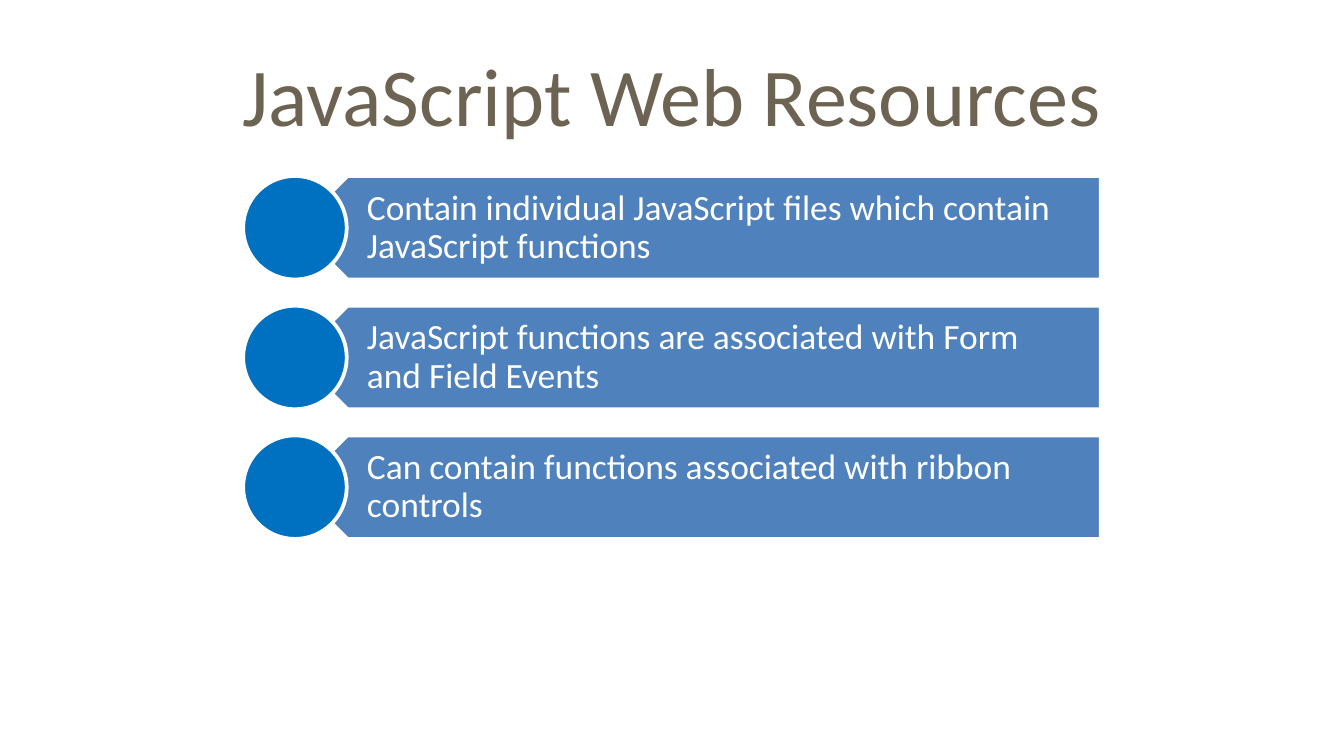
from dataclasses import dataclass
from pptx import Presentation
from pptx.dml.color import RGBColor
from pptx.enum.shapes import MSO_SHAPE
from pptx.enum.text import MSO_ANCHOR, PP_ALIGN
from pptx.util import Inches, Pt

TITLE = "JavaScript Web Resources"
POINTS = [
    "Contain individual JavaScript files which contain JavaScript functions",
    "JavaScript functions are associated with Form and Field Events",
    "Can contain functions associated with ribbon controls",
]


@dataclass(frozen=True)
class Theme:
    font: str = "Calibri"
    title: str = "6C6352"
    bar: str = "4F81BD"
    dot: str = "0070C0"
    white: str = "FFFFFF"
    head: int = 44
    body: int = 19
    edge: int = 2


THEME = Theme()
WIDE = Inches(10)
HIGH = WIDE * 9 // 16
FIRST, LAST = 1.31, 3.24
SIZE = 0.77
STEP = (LAST - FIRST) / (len(POINTS) - 1)


def style(para, size, color):
    for run in para.runs:
        run.font.name = THEME.font
        run.font.size = Pt(size)
        run.font.color.rgb = RGBColor.from_string(color)


def add_form(slide, kind, left, top, width, color):
    form = slide.shapes.add_shape(
        kind, Inches(left), Inches(top), Inches(width), Inches(SIZE))
    form.shadow.inherit = False
    form.fill.solid()
    form.fill.fore_color.rgb = RGBColor.from_string(color)
    form.line.color.rgb = RGBColor.from_string(THEME.white)
    form.line.width = Pt(THEME.edge)
    return form


def add_label(slide, text, top):
    box = slide.shapes.add_textbox(
        Inches(2.39), Inches(top), Inches(5.79), Inches(SIZE))
    frame = box.text_frame
    frame.word_wrap = True
    frame.vertical_anchor = MSO_ANCHOR.MIDDLE
    frame.margin_left, frame.margin_right = Inches(0.34), Inches(0.15)
    frame.margin_top = frame.margin_bottom = Inches(0.08)
    frame.text = text
    para = frame.paragraphs[0]
    para.alignment = PP_ALIGN.LEFT
    para.line_spacing = 0.9
    style(para, THEME.body, THEME.white)


def add_title(slide):
    title = slide.shapes.title
    title.left, title.top = Inches(0.5), Inches(0.23)
    title.width, title.height = Inches(9), Inches(0.94)
    frame = title.text_frame
    frame.text = TITLE
    frame.vertical_anchor = MSO_ANCHOR.MIDDLE
    para = frame.paragraphs[0]
    para.alignment = PP_ALIGN.CENTER
    style(para, THEME.head, THEME.title)


def main():
    deck = Presentation()
    deck.slide_width, deck.slide_height = WIDE, HIGH
    slide = deck.slides.add_slide(deck.slide_layouts[5])
    add_title(slide)
    for row, text in enumerate(POINTS):
        top = FIRST + row * STEP
        bar = add_form(slide, MSO_SHAPE.PENTAGON, 2.2, top, 5.99, THEME.bar)
        bar.rotation = 180
        add_label(slide, text, top)
        add_form(slide, MSO_SHAPE.OVAL, 1.81, top, SIZE, THEME.dot)
    deck.save("out.pptx")


if __name__ == "__main__":
    main()
